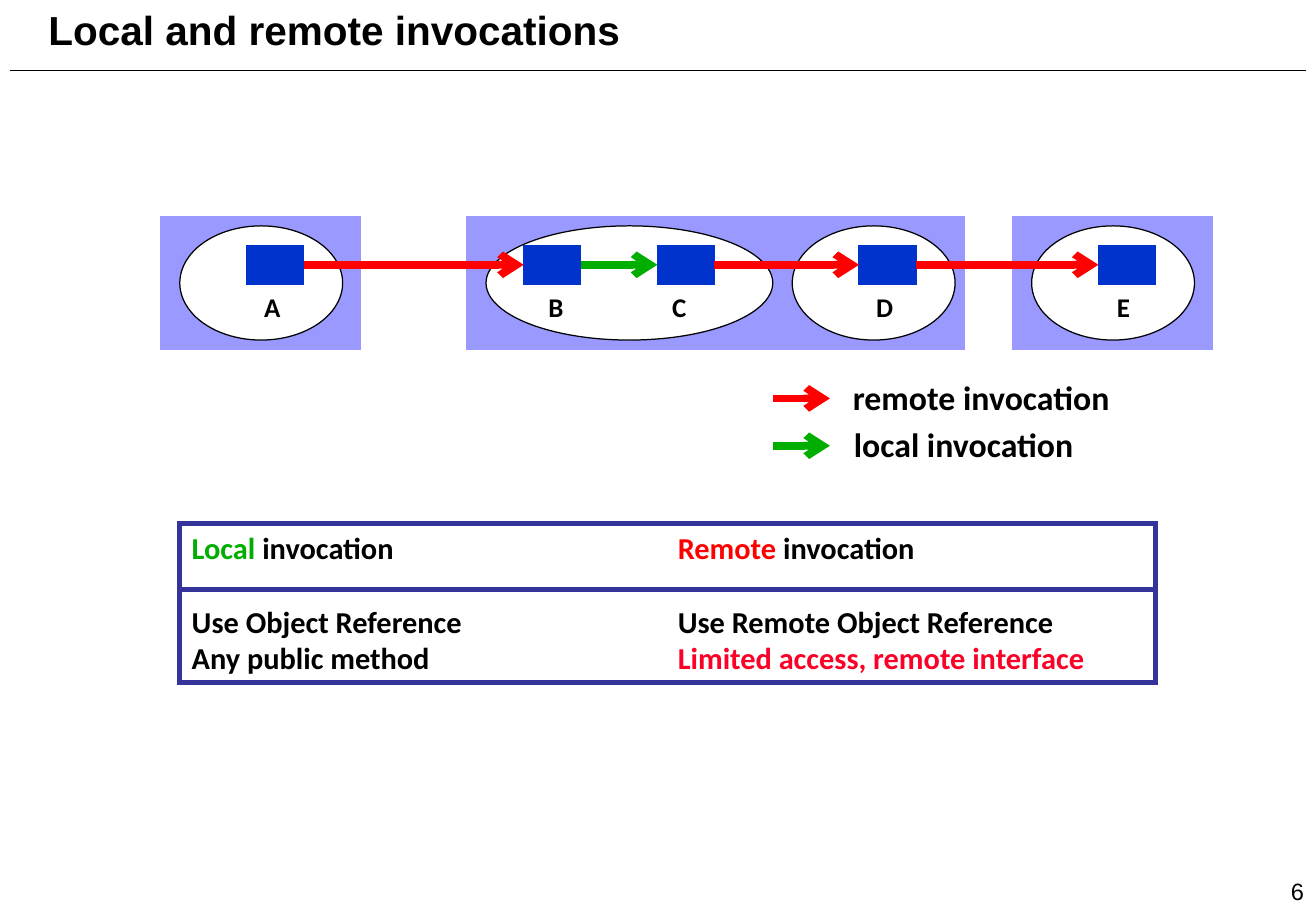
from dataclasses import dataclass

from lxml import etree
from pptx import Presentation
from pptx import util as u
from pptx.dml import color
from pptx.enum import shapes, text
from pptx.oxml import ns


@dataclass(frozen=True)
class Theme:
    heading_font: str = "Arial"
    body_font: str = "Calibri"
    ink: str = "000000"
    paper: str = "FFFFFF"
    host: str = "9999FF"
    item: str = "0033CC"
    remote: str = "FF0000"
    local: str = "00AE00"
    limited: str = "FC0128"
    frame: str = "333399"
    title_size: int = 24
    legend_size: int = 20
    body_size: int = 18
    label_size: int = 16
    number_size: int = 14
    thin: float = 0.75
    rule: float = 1
    border: float = 3
    arrow: float = 4.5


def rgb(value):
    return color.RGBColor.from_string(value)


def write(frame, lines, *, font, size, ink, bold=True, align=text.PP_ALIGN.LEFT,
          anchor=text.MSO_ANCHOR.TOP, wrap=False, gaps=(), tab=None):
    frame.word_wrap = wrap
    frame.vertical_anchor = anchor
    for index, line in enumerate(lines):
        paragraph = frame.add_paragraph() if index else frame.paragraphs[0]
        paragraph.alignment = align
        if index < len(gaps):
            paragraph.space_before = u.Pt(gaps[index])
        if tab:
            stops = etree.SubElement(paragraph._p.get_or_add_pPr(), ns.qn("a:tabLst"))
            etree.SubElement(stops, ns.qn("a:tab"), pos=str(tab), algn="l")
        for words, tint in line:
            run = paragraph.add_run()
            run.text = words
            run.font.name = font
            run.font.size = u.Pt(size)
            run.font.bold = bold
            run.font.color.rgb = rgb(tint or ink)


class Board:
    COLUMNS, ROWS = 108.3, 75

    def __init__(self, deck, theme):
        self.theme = theme
        self.slide = deck.slides.add_slide(deck.slide_layouts[6])
        self.column = deck.slide_width / self.COLUMNS
        self.row = deck.slide_height / self.ROWS

    def x(self, columns):
        return u.Emu(round(columns * self.column))

    def y(self, rows):
        return u.Emu(round(rows * self.row))

    def place(self, left, top, width, height):
        return self.x(left), self.y(top), self.x(width), self.y(height)

    def shape(self, kind, place, fill, line, weight):
        shape = self.slide.shapes.add_shape(kind, *self.place(*place))
        shape.shadow.inherit = False
        if fill:
            shape.fill.solid()
            shape.fill.fore_color.rgb = rgb(fill)
        else:
            shape.fill.background()
        shape.line.color.rgb = rgb(line)
        shape.line.width = u.Pt(weight)
        return shape

    def box(self, place, fill, line=None, weight=None):
        box = self.shape(shapes.MSO_SHAPE.RECTANGLE, place, fill,
                         line or fill, weight or self.theme.thin)
        etree.SubElement(box.line._get_or_add_ln(), ns.qn("a:miter"), lim="800000")
        return box

    def oval(self, place):
        return self.shape(shapes.MSO_SHAPE.OVAL, place, self.theme.paper,
                          self.theme.ink, self.theme.thin)

    def line(self, start, end, row, tint, weight, arrow=False):
        line = self.slide.shapes.add_connector(
            shapes.MSO_CONNECTOR.STRAIGHT,
            self.x(start), self.y(row), self.x(end), self.y(row))
        line.line.color.rgb = rgb(tint)
        line.line.width = u.Pt(weight)
        if arrow:
            etree.SubElement(line.line._get_or_add_ln(), ns.qn("a:tailEnd"), type="arrow")
        etree.SubElement(line._element.spPr, ns.qn("a:effectLst"))

    def arrow(self, start, end, row, tint):
        self.line(start, end, row, tint, self.theme.arrow, arrow=True)

    def text(self, place, words, size, **style):
        style = {"font": self.theme.body_font, "ink": self.theme.ink, **style}
        caption = self.slide.shapes.add_textbox(*self.place(*place))
        write(caption.text_frame, [[(words, None)]], size=size, **style)


def draw_heading(board):
    theme = board.theme
    board.line(0.8, 107.5, 5.8, theme.ink, theme.rule)
    board.text((3, -0.1, 60, 5), "Local and remote invocations", theme.title_size,
               font=theme.heading_font, wrap=True)
    board.text((87.5, 70, 20.8, 5), "6", theme.number_size, font=theme.heading_font,
               bold=False, align=text.PP_ALIGN.RIGHT, anchor=text.MSO_ANCHOR.BOTTOM)


def draw_hosts(board):
    theme = board.theme
    hosts = [(13.2, 16.5, [(14.8, 13.4)]),
             (38.4, 41, [(40, 23.6), (65.2, 13.4)]),
             (83.3, 16.5, [(84.9, 13.4)])]
    for left, width, processes in hosts:
        board.box((left, 17.8, width, 11), theme.host)
        for process_left, process_width in processes:
            board.oval((process_left, 18.6, process_width, 9.4))


def draw_objects(board):
    theme = board.theme
    width, height, top = 4.7, 3.2, 20.2
    label_width = 3.4
    objects = [("A", 20.3, 22.4), ("B", 43.1, 45.75), ("C", 54.1, 55.9),
               ("D", 70.7, 72.8), ("E", 90.4, 92.45)]
    for name, left, label_centre in objects:
        board.box((left, top, width, height), theme.item)
        board.text((label_centre - label_width / 2, 23.4, label_width, 3.7), name,
                   theme.label_size, align=text.PP_ALIGN.CENTER)
    calls = [theme.remote, theme.local, theme.remote, theme.remote]
    for caller, target, tint in zip(objects, objects[1:], calls):
        board.arrow(caller[1] + width, target[1], top + height / 2, tint)


def draw_legend(board):
    theme = board.theme
    entries = [("remote invocation", theme.remote, 69.1, 23.3),
               ("local invocation", theme.local, 69.2, 20.2)]
    for index, (words, tint, left, width) in enumerate(entries):
        row = 32.8 + 3.9 * index
        board.arrow(63.6, 68.3, row, tint)
        board.text((left, row - 2.3, width, 4.4), words, theme.legend_size,
                   align=text.PP_ALIGN.CENTER)


def draw_comparison(board):
    theme = board.theme
    left, width = 14.8, 80.3
    panel = board.box((left, 43.1, width, 13.1), None, theme.frame, theme.border)
    write(panel.text_frame,
          [[("Local", theme.local), (" invocation\t", None),
            ("Remote", theme.remote), (" invocation", None)],
           [("Use Object Reference\tUse Remote Object Reference", None)],
           [("Any public method\t", None),
            ("Limited access, remote interface", theme.limited)]],
          font=theme.body_font, size=theme.body_size, ink=theme.ink,
          wrap=True, gaps=(0, 22), tab=board.x(40))
    board.line(left, left + width, 48.5, theme.frame, theme.border)


def main():
    deck = Presentation()
    deck.slide_width, deck.slide_height = u.Inches(10.83), u.Inches(7.5)
    board = Board(deck, Theme())
    for draw in (draw_heading, draw_hosts, draw_objects, draw_legend, draw_comparison):
        draw(board)
    deck.save("out.pptx")


if __name__ == "__main__":
    main()
